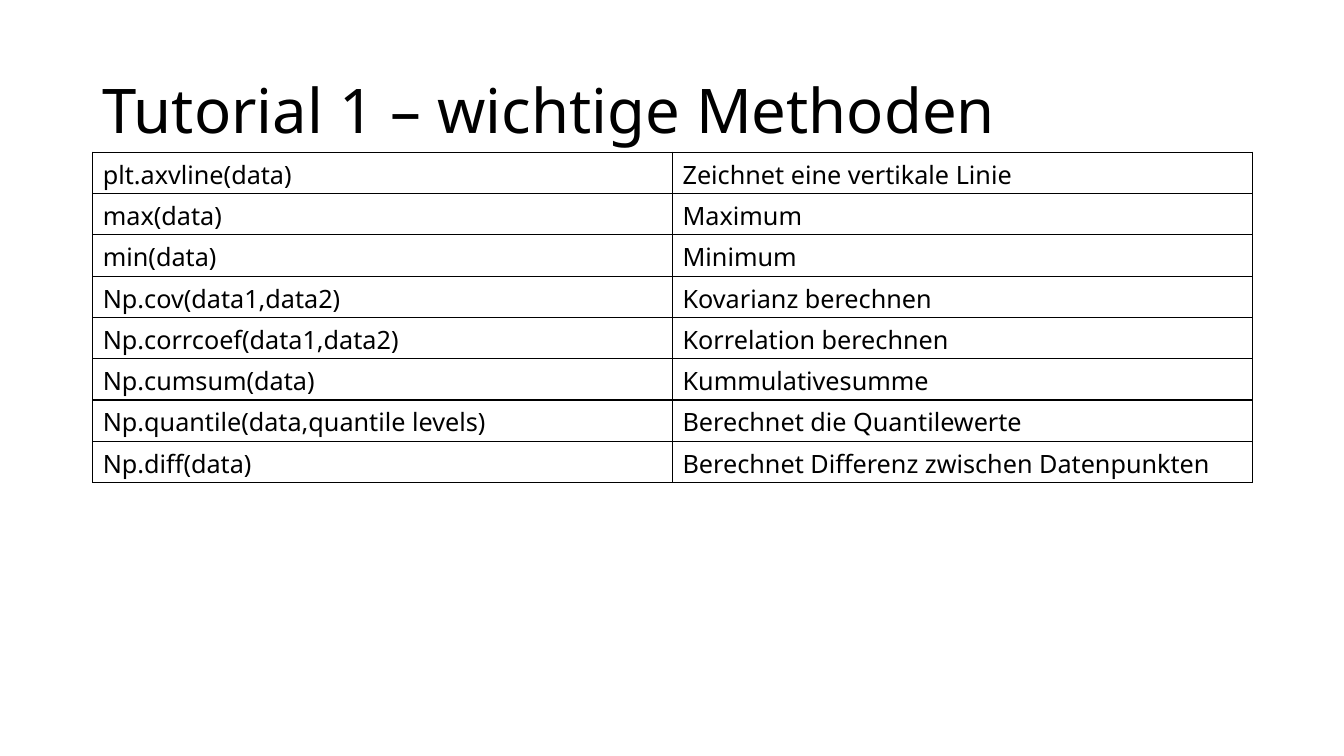
from lxml import etree
from pptx import Presentation
from pptx.dml.color import RGBColor
from pptx.enum.text import MSO_ANCHOR
from pptx.oxml.ns import qn
from pptx.util import Emu, Pt

EMU_PER_PX = 9144  # 100 px to the inch
BLACK = RGBColor(0x00, 0x00, 0x00)
MIDDLE = MSO_ANCHOR.MIDDLE

METHODS = [
    ("plt.axvline(data)", "Zeichnet eine vertikale Linie"),
    ("max(data)", "Maximum"),
    ("min(data)", "Minimum"),
    ("Np.cov(data1,data2)", "Kovarianz berechnen"),
    ("Np.corrcoef(data1,data2)", "Korrelation berechnen"),
    ("Np.cumsum(data)", "Kummulativesumme"),
    ("Np.quantile(data,quantile levels)", "Berechnet die Quantilewerte"),
    ("Np.diff(data)", "Berechnet Differenz zwischen Datenpunkten"),
]


def px(n):
    return Emu(n * EMU_PER_PX)


class Deck:
    font = "Noto Sans"
    color = BLACK
    border_width = Pt(1)

    def __init__(self, width, height):
        self.prs = Presentation()
        self.prs.slide_width, self.prs.slide_height = px(width), px(height)
        self.s = self.prs.slides.add_slide(self.prs.slide_layouts[6])

    def run(self, p, text, size):
        r = p.add_run()
        r.text = text
        r.font.name = self.font
        r.font.size = Pt(size)
        r.font.color.rgb = self.color

    def title(self, x, y, w, h, text, size):
        sp = self.s.shapes.add_textbox(px(x), px(y), px(w), px(h))
        tf = sp.text_frame
        tf.word_wrap = True
        tf.vertical_anchor = MIDDLE
        p = tf.paragraphs[0]
        p.line_spacing = 0.9
        self.run(p, text, size)

    def borders(self, cell):
        """Draw a solid line on all four sides; call before setting the fill."""
        tc_pr = cell._tc.get_or_add_tcPr()
        for side in ("lnL", "lnR", "lnT", "lnB"):
            ln = etree.SubElement(tc_pr, qn(f"a:{side}"), w=str(self.border_width))
            fill = etree.SubElement(ln, qn("a:solidFill"))
            etree.SubElement(fill, qn("a:srgbClr"), val=str(self.color))

    def table(self, x, y, w, row_h, rows, size):
        """Add a bordered, unfilled table with equal columns."""
        cols = len(rows[0])
        frame = self.s.shapes.add_table(
            len(rows), cols, px(x), px(y), px(w), px(row_h * len(rows)))
        table = frame.table
        table.first_row = table.horz_banding = False
        for i, row in enumerate(rows):
            for j, text in enumerate(row):
                cell = table.cell(i, j)
                self.borders(cell)
                cell.fill.background()
                self.run(cell.text_frame.paragraphs[0], text, size)


def main():
    deck = Deck(1333, 750)
    deck.title(92, 40, 1150, 145, "Tutorial 1 – wichtige Methoden", 44)
    deck.table(92, 151, 1150, 41, METHODS, 18)
    deck.prs.save("out.pptx")


if __name__ == "__main__":
    main()
